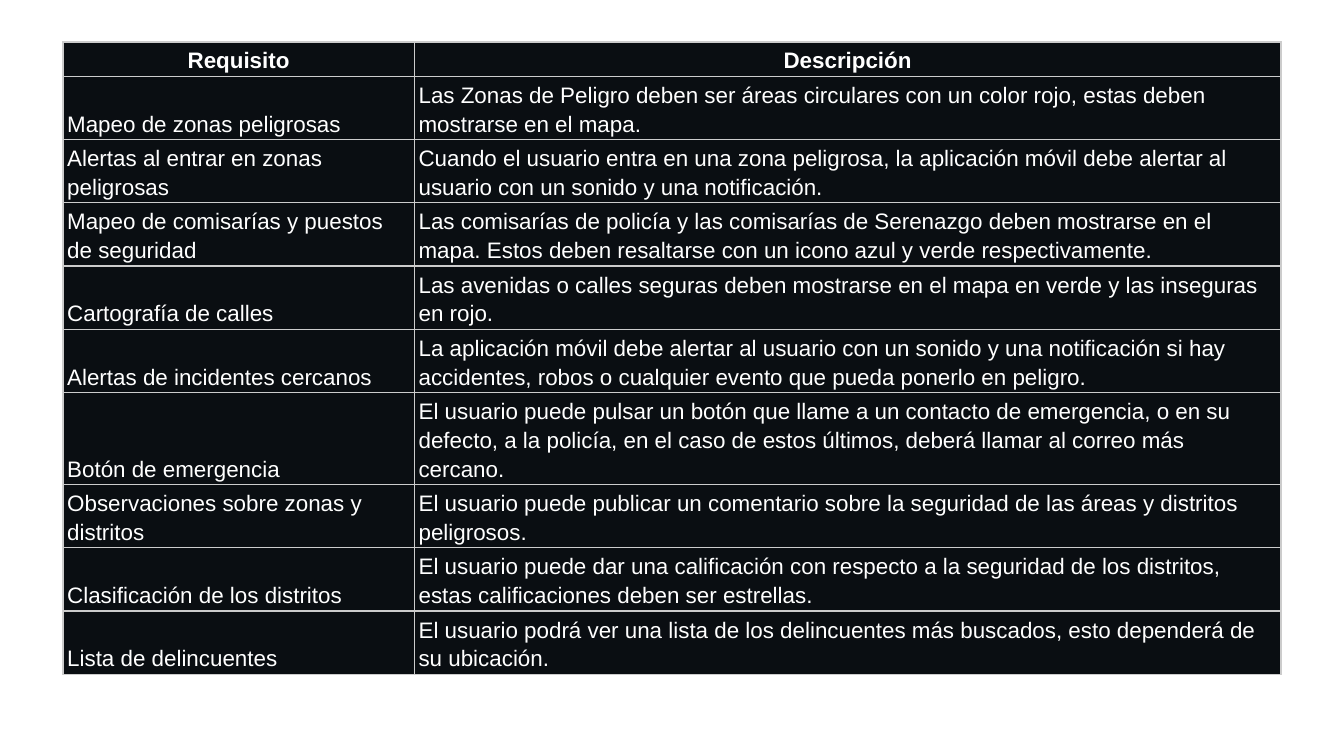
from typing import NamedTuple

from lxml.etree import SubElement
from pptx import Presentation
from pptx.dml.color import RGBColor
from pptx.enum.text import MSO_ANCHOR as Anchor, PP_ALIGN as Align
from pptx.oxml.ns import qn
from pptx.table import _Cell as Cell
from pptx.util import Pt

PX = 9525  # EMU per px, 96 px to the inch
SLIDE_WIDTH, SLIDE_HEIGHT = 960, 540
TABLE_LEFT, TABLE_TOP = 45, 30
COLUMN_WIDTHS = (251, 619)
HEADER_HEIGHT, BODY_HEIGHT = 23, 41
MARGIN_X, MARGIN_Y = 3, 2
BORDER_WIDTH = Pt(0.75)

WHITE = RGBColor(0xFF, 0xFF, 0xFF)
NIGHT = RGBColor(0x0A, 0x0E, 0x12)
BORDER_GREY = RGBColor(0xCC, 0xCC, 0xCC)


class Requirement(NamedTuple):
    name: str
    description: str


HEADER = Requirement("Requisito", "Descripción")
REQUIREMENTS = [
    Requirement("Mapeo de zonas peligrosas",
                "Las Zonas de Peligro deben ser áreas circulares con un color rojo, "
                "estas deben mostrarse en el mapa."),
    Requirement("Alertas al entrar en zonas peligrosas",
                "Cuando el usuario entra en una zona peligrosa, la aplicación móvil "
                "debe alertar al usuario con un sonido y una notificación."),
    Requirement("Mapeo de comisarías y puestos de seguridad",
                "Las comisarías de policía y las comisarías de Serenazgo deben mostrarse "
                "en el mapa. Estos deben resaltarse con un icono azul y verde "
                "respectivamente."),
    Requirement("Cartografía de calles",
                "Las avenidas o calles seguras deben mostrarse en el mapa en verde "
                "y las inseguras en rojo."),
    Requirement("Alertas de incidentes cercanos",
                "La aplicación móvil debe alertar al usuario con un sonido y una "
                "notificación si hay accidentes, robos o cualquier evento que pueda "
                "ponerlo en peligro."),
    Requirement("Botón de emergencia",
                "El usuario puede pulsar un botón que llame a un contacto de emergencia, "
                "o en su defecto, a la policía, en el caso de estos últimos, deberá "
                "llamar al correo más cercano."),
    Requirement("Observaciones sobre zonas y distritos",
                "El usuario puede publicar un comentario sobre la seguridad de las áreas "
                "y distritos peligrosos."),
    Requirement("Clasificación de los distritos",
                "El usuario puede dar una calificación con respecto a la seguridad de "
                "los distritos, estas calificaciones deben ser estrellas."),
    Requirement("Lista de delincuentes",
                "El usuario podrá ver una lista de los delincuentes más buscados, esto "
                "dependerá de su ubicación."),
]


def add_borders(cell: Cell) -> None:
    """Draw all four sides; must run before the fill, which follows them in the XML."""
    properties = cell._tc.get_or_add_tcPr()
    for side in ("a:lnL", "a:lnR", "a:lnT", "a:lnB"):
        line = SubElement(properties, qn(side), w=str(BORDER_WIDTH))
        fill = SubElement(line, qn("a:solidFill"))
        SubElement(fill, qn("a:srgbClr"), val=str(BORDER_GREY))


def fill_cell(cell: Cell, text: str, is_header: bool) -> None:
    add_borders(cell)
    cell.fill.solid()
    cell.fill.fore_color.rgb = NIGHT
    cell.vertical_anchor = Anchor.BOTTOM
    cell.margin_left = cell.margin_right = MARGIN_X * PX
    cell.margin_top = cell.margin_bottom = MARGIN_Y * PX

    para = cell.text_frame.paragraphs[0]
    para.alignment = Align.CENTER if is_header else Align.LEFT
    para.line_spacing = 1.15
    span = para.add_run()
    span.text = text
    span.font.name = "Arial"
    span.font.size = Pt(12)
    span.font.bold = is_header
    span.font.color.rgb = WHITE


def main() -> None:
    deck = Presentation()
    deck.slide_width = SLIDE_WIDTH * PX
    deck.slide_height = SLIDE_HEIGHT * PX
    page = deck.slides.add_slide(deck.slide_layouts[6])

    entries = [HEADER, *REQUIREMENTS]
    heights = [HEADER_HEIGHT] + [BODY_HEIGHT] * len(REQUIREMENTS)
    table = page.shapes.add_table(
        len(entries), len(COLUMN_WIDTHS), TABLE_LEFT * PX, TABLE_TOP * PX,
        sum(COLUMN_WIDTHS) * PX, sum(heights) * PX).table
    table.horz_banding = False

    for column, width in zip(table.columns, COLUMN_WIDTHS):
        column.width = width * PX
    for row, height, entry in zip(table.rows, heights, entries):
        row.height = height * PX
        for cell, text in zip(row.cells, entry):
            fill_cell(cell, text, is_header=entry is HEADER)

    deck.save("out.pptx")


if __name__ == "__main__":
    main()
